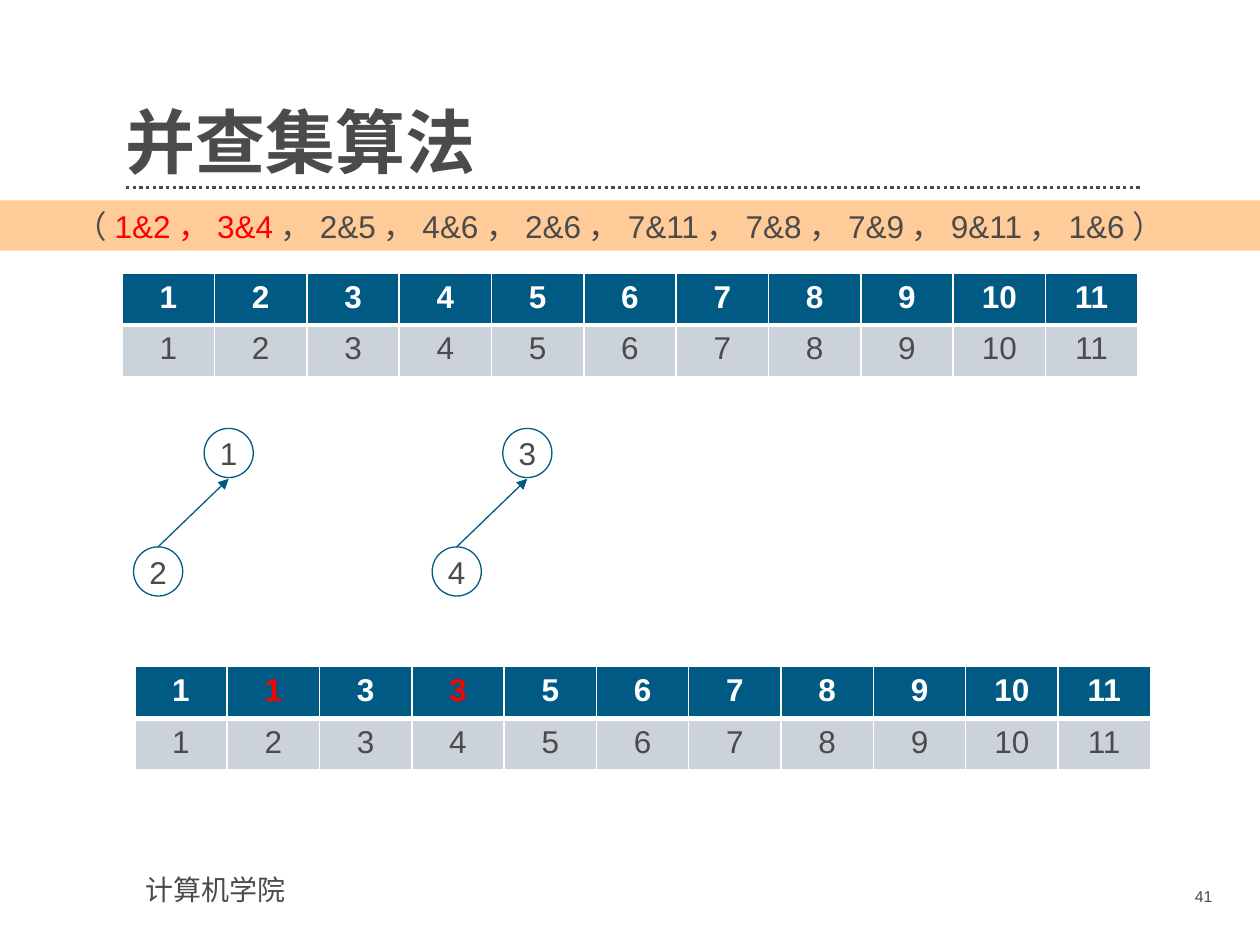
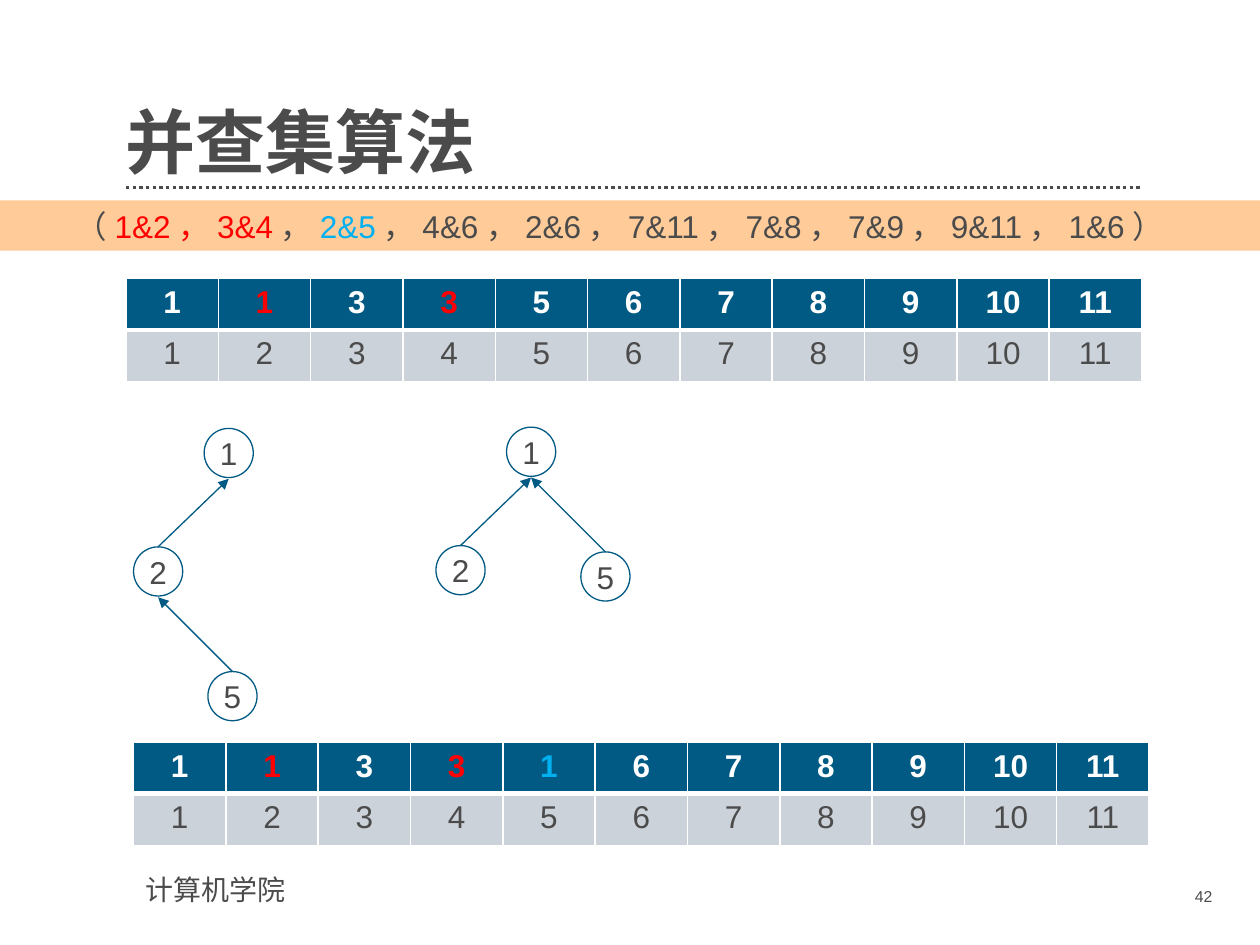
from lxml import etree
from pptx import Presentation
from pptx.dml.color import RGBColor
from pptx.enum.dml import MSO_LINE_DASH_STYLE as DASH
from pptx.enum.shapes import MSO_CONNECTOR as CONN, MSO_SHAPE as SHAPE
from pptx.enum.text import MSO_ANCHOR as ANCHOR, PP_ALIGN as ALIGN
from pptx.oxml.ns import qn
from pptx.util import Inches, Pt

GREY = RGBColor(0x4B, 0x4B, 0x4B)
BLUE = RGBColor(0x00, 0x5A, 0x84)
PALE = RGBColor(0xCC, 0xD2, 0xD9)
PEACH = RGBColor(0xFF, 0xCC, 0x99)
RED = RGBColor(0xFF, 0x00, 0x00)
SKY = RGBColor(0x00, 0xB0, 0xF0)
WHITE = RGBColor(0xFF, 0xFF, 0xFF)
LATIN, CJK = "Arial", "Noto Sans CJK SC"

ELEMENTS = 11
TABLE_WIDTH, ROW_HEIGHT = 8.06, 0.41
NODE = 0.39
LEFT_STEP, RIGHT_STEP = (-0.56, 0.94), (0.59, 0.99)  # parent to child


def style(r, size, color=GREY, bold=False, font=LATIN):
    r.font.size, r.font.name, r.font.bold = Pt(size), font, bold
    r.font.color.rgb = color
    etree.SubElement(r.font._element, qn("a:ea"), typeface=CJK)


def add_text(slide, box, text, size, align=ALIGN.LEFT, **look):
    tf = slide.shapes.add_textbox(*map(Inches, box)).text_frame
    tf.word_wrap = True
    p = tf.paragraphs[0]
    p.text, p.alignment = text, align
    style(p.runs[0], size, **look)
    return tf


def add_line(slide, start, end, color, width):
    line = slide.shapes.add_connector(CONN.STRAIGHT, *map(Inches, start + end))
    line.line.color.rgb, line.line.width = color, Pt(width)
    etree.SubElement(line._element.spPr, qn("a:effectLst"))
    return line


# Title, dotted rule, footer and page number
def add_frame(slide, number):
    add_line(slide, (1, 1.49), (9.06, 1.49), GREY, 1.9).line.dash_style = DASH.ROUND_DOT
    add_text(slide, (1.06, 6.88, 2.95, 0.37), "计算机学院", 16)
    tf = add_text(slide, (1, 0.55, 8.06, 0.91), "并查集算法", 40, bold=True, font=CJK)
    tf.margin_left = tf.margin_right = tf.margin_top = tf.margin_bottom = 0
    tf.vertical_anchor = ANCHOR.BOTTOM
    tf.paragraphs[0].line_spacing = 0.9
    add_text(slide, (8.73, 6.99, 0.99, 0.29), str(number), 9, ALIGN.RIGHT)


# Band listing the union operations, as (text, colour) pieces
def add_band(slide, pieces):
    sp = slide.shapes.add_shape(SHAPE.RECTANGLE, 0, Inches(1.59), Inches(10), Inches(0.4))
    sp.shadow.inherit = False
    sp.fill.solid()
    sp.fill.fore_color.rgb = PEACH
    sp.line.fill.background()
    tf = sp.text_frame
    tf.margin_left = Inches(0.6)
    tf.vertical_anchor = ANCHOR.MIDDLE
    p = tf.paragraphs[0]
    p.alignment = ALIGN.LEFT
    for text, color in pieces:
        r = p.add_run()
        r.text = text
        style(r, 18, color)


def set_borders(cell, **widths):
    tcPr = cell._tc.get_or_add_tcPr()
    for i, side in enumerate("LRTB"):
        ln = etree.Element(qn(f"a:ln{side}"), w=str(Pt(widths.get(side, 1))))
        fill = etree.SubElement(ln, qn("a:solidFill"))
        etree.SubElement(fill, qn("a:srgbClr"), val=str(WHITE))
        tcPr.insert(i, ln)


# Parent of each element above the element itself; joined maps element to (parent, colour)
def add_parent_table(slide, left, top, joined):
    table = slide.shapes.add_table(2, ELEMENTS, Inches(left), Inches(top),
                                   Inches(TABLE_WIDTH), Inches(2 * ROW_HEIGHT)).table
    for row in table.rows:
        row.height = Inches(ROW_HEIGHT)
    for i in range(ELEMENTS):
        element = i + 1
        parent, color = joined.get(element, (element, WHITE))
        table.columns[i].width = Inches(TABLE_WIDTH / ELEMENTS)
        rows = ((parent, color, True, BLUE, {"B": 3}), (element, GREY, False, PALE, {"T": 3}))
        for j, (value, ink, bold, fill, borders) in enumerate(rows):
            cell = table.cell(j, i)
            cell.fill.solid()
            cell.fill.fore_color.rgb = fill
            set_borders(cell, **borders)
            p = cell.text_frame.paragraphs[0]
            p.text, p.alignment = str(value), ALIGN.CENTER
            style(p.runs[0], 18, ink, bold)


def add_node(slide, left, top, label):
    sp = slide.shapes.add_shape(SHAPE.OVAL, *map(Inches, (left, top, NODE, NODE)))
    sp.shadow.inherit = False
    sp.fill.background()
    sp.line.color.rgb, sp.line.width = BLUE, Pt(0.75)
    tf = sp.text_frame
    tf.margin_left = tf.margin_right = tf.margin_top = tf.margin_bottom = 0
    tf.word_wrap = False
    tf.vertical_anchor = ANCHOR.MIDDLE
    p = tf.paragraphs[0]
    p.text, p.alignment = str(label), ALIGN.CENTER
    style(p.runs[0], 18)
    return sp


# Tree of (label, left subtree, right subtree) with arrows from child to parent
def add_tree(slide, left, top, tree):
    label, *children = tree
    root = add_node(slide, left, top, label)
    for child, (dx, dy) in zip(children, (LEFT_STEP, RIGHT_STEP)):
        if child:
            x, y = left + dx, top + dy
            node = add_tree(slide, x, y, child)
            arrow = add_line(slide, (x + NODE / 2, y),
                             (left + NODE / 2, top + NODE + 0.01), BLUE, 0.75)
            arrow.begin_connect(node, 0)
            etree.SubElement(arrow.line._get_or_add_ln(), qn("a:tailEnd"), type="triangle")
    return root


def add_step(prs, number, pieces, before, after, trees):
    slide = prs.slides.add_slide(prs.slide_layouts[6])
    add_frame(slide, number)
    add_band(slide, pieces)
    for left, top, joined in (before, after):
        add_parent_table(slide, left, top, joined)
    for left, top, tree in trees:
        add_tree(slide, left, top, tree)


def main():
    prs = Presentation()
    prs.slide_width, prs.slide_height = Inches(10), Inches(7.5)
    done = [("（", GREY), ("1&2，3&4", RED)]
    rest = "，4&6，2&6，7&11，7&8，7&9，9&11，1&6）"
    two_joined = {2: (1, RED), 4: (3, RED)}

    add_step(prs, 41, done + [("，2&5" + rest, GREY)],
             before=(0.97, 2.17, {}),
             after=(1.07, 5.29, two_joined),
             trees=[(1.62, 3.4, (1, (2,))), (3.99, 3.4, (3, (4,)))])
    add_step(prs, 42, done + [("，", GREY), ("2&5", SKY), (rest, GREY)],
             before=(1, 2.21, two_joined),
             after=(1.06, 5.89, {**two_joined, 5: (1, SKY)}),
             trees=[(1.62, 3.4, (1, (2, None, (5,)))),
                    (4.02, 3.39, (1, (2,), (5,)))])
    prs.save("out.pptx")


if __name__ == "__main__":
    main()
